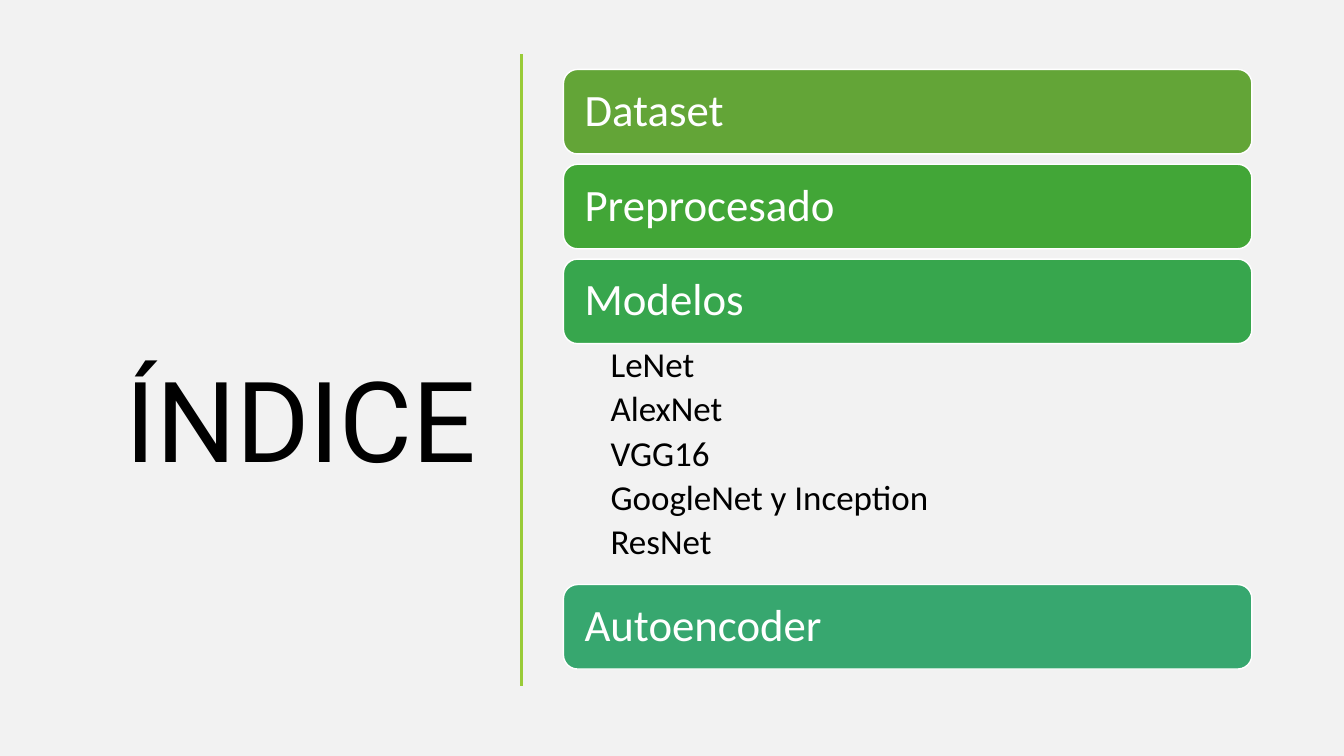
from lxml import etree
from pptx import Presentation
from pptx.dml.color import RGBColor
from pptx.enum.shapes import MSO_CONNECTOR, MSO_SHAPE
from pptx.enum.text import MSO_ANCHOR, PP_ALIGN
from pptx.oxml.ns import qn
from pptx.util import Cm, Pt

ROUNDED = MSO_SHAPE.ROUNDED_RECTANGLE
STRAIGHT = MSO_CONNECTOR.STRAIGHT
TOP, MIDDLE = MSO_ANCHOR.TOP, MSO_ANCHOR.MIDDLE
LEFT, RIGHT = PP_ALIGN.LEFT, PP_ALIGN.RIGHT

BACKGROUND = RGBColor(0xF2, 0xF2, 0xF2)
BLACK = RGBColor(0x00, 0x00, 0x00)
WHITE = RGBColor(0xFF, 0xFF, 0xFF)
LIME = RGBColor(0x99, 0xCB, 0x38)

# Content: section, bar colour, subtopics
TITLE = "ÍNDICE"
SECTIONS = [
    ("Dataset", RGBColor(0x63, 0xA5, 0x37), []),
    ("Preprocesado", RGBColor(0x42, 0xA6, 0x37), []),
    ("Modelos", RGBColor(0x37, 0xA6, 0x4D),
     ["LeNet", "AlexNet", "VGG16", "GoogleNet y Inception", "ResNet"]),
    ("Autoencoder", RGBColor(0x37, 0xA7, 0x6F), []),
]

# Layout in centimetres
BAR_LEFT, BAR_WIDTH, BAR_HEIGHT, BAR_GAP = 14.2, 17.35, 2.13, 0.26
FIRST_TOP = 1.75
LIST_HEIGHT = 6.07


def write(shape, lines, size, color, font="Calibri", align=LEFT,
          anchor=MIDDLE, inset=(0.25, 0.13), space_after=0):
    frame = shape.text_frame
    frame.word_wrap = True
    frame.vertical_anchor = anchor
    frame.margin_left = frame.margin_right = Cm(inset[0])
    frame.margin_top = frame.margin_bottom = Cm(inset[1])
    for index, line in enumerate(lines):
        paragraph = frame.add_paragraph() if index else frame.paragraphs[0]
        paragraph.alignment = align
        paragraph.line_spacing = 0.9
        paragraph.space_after = Pt(space_after)
        run = paragraph.add_run()
        run.text = line
        run.font.name = font
        run.font.size = Pt(size)
        run.font.color.rgb = color


presentation = Presentation()
presentation.slide_width, presentation.slide_height = Cm(33.87), Cm(19.05)
slide = presentation.slides.add_slide(presentation.slide_layouts[6])
slide.background.fill.solid()
slide.background.fill.fore_color.rgb = BACKGROUND

# Title
title = slide.shapes.add_textbox(Cm(1.32), Cm(2.97), Cm(10.95), Cm(15.52))
write(title, [TITLE], 80, BLACK, font="Roboto", align=RIGHT)

# Divider
divider = slide.shapes.add_connector(STRAIGHT, Cm(13.14), Cm(1.37), Cm(13.14), Cm(17.28))
divider.line.color.rgb = LIME
divider.line.width = Pt(2)
etree.SubElement(divider._element.spPr, qn("a:effectLst"))

# Section bars, with subtopics filling the space below their bar
top = FIRST_TOP
for name, color, subtopics in SECTIONS:
    bar = slide.shapes.add_shape(ROUNDED, Cm(BAR_LEFT), Cm(top), Cm(BAR_WIDTH), Cm(BAR_HEIGHT))
    bar.shadow.inherit = False
    bar.fill.solid()
    bar.fill.fore_color.rgb = color
    bar.line.color.rgb = WHITE
    bar.line.width = Pt(1)
    write(bar, [name], 32, WHITE, inset=(0.43, 0.43))
    top += BAR_HEIGHT
    if subtopics:
        topic_list = slide.shapes.add_textbox(
            Cm(BAR_LEFT), Cm(top), Cm(BAR_WIDTH), Cm(LIST_HEIGHT))
        write(topic_list, subtopics, 25, BLACK, anchor=TOP, inset=(1.19, 0.1),
              space_after=4.5)
        top += LIST_HEIGHT
    else:
        top += BAR_GAP

presentation.save("out.pptx")
